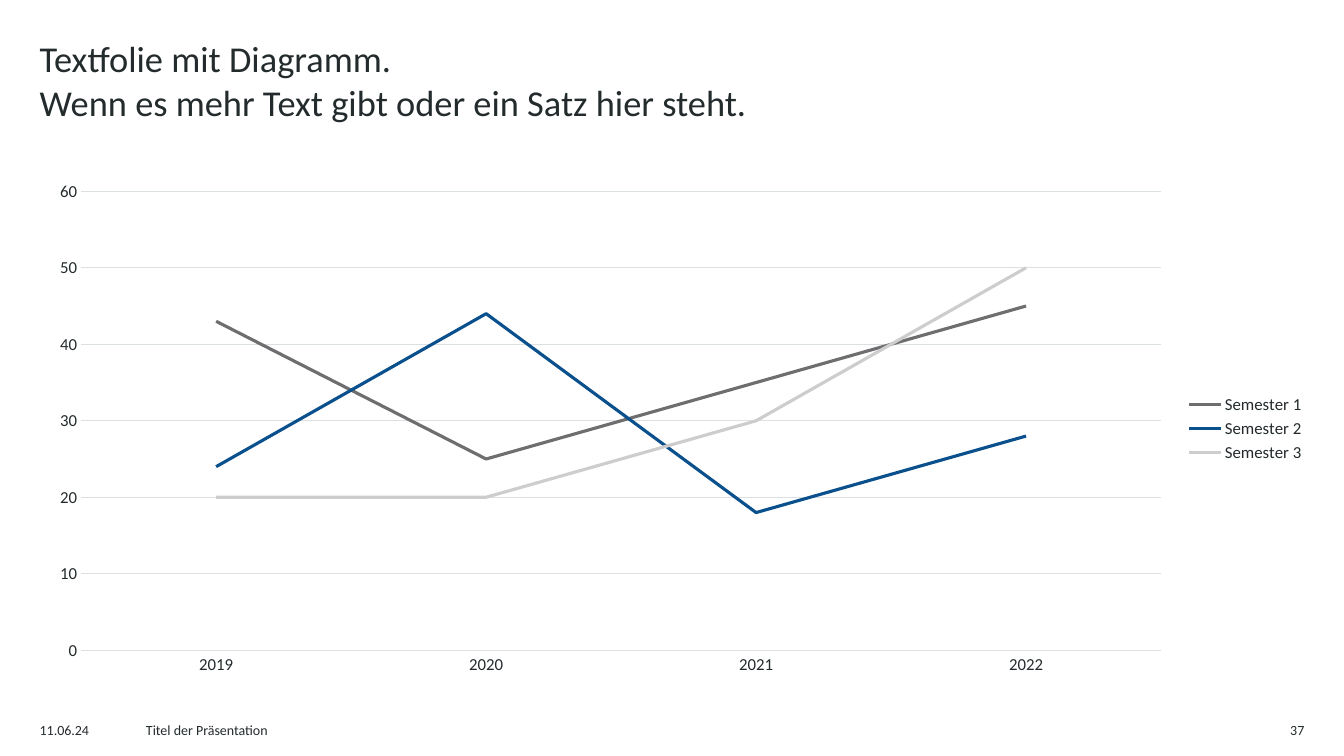
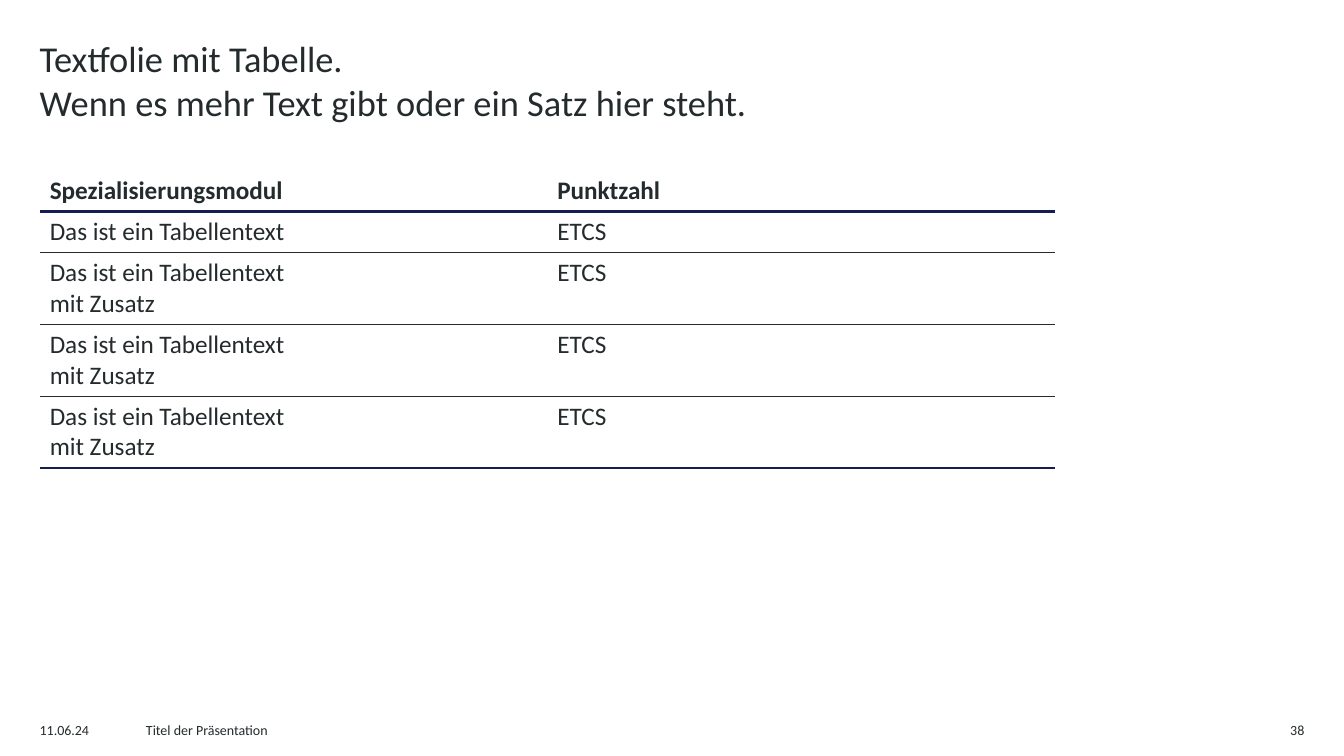
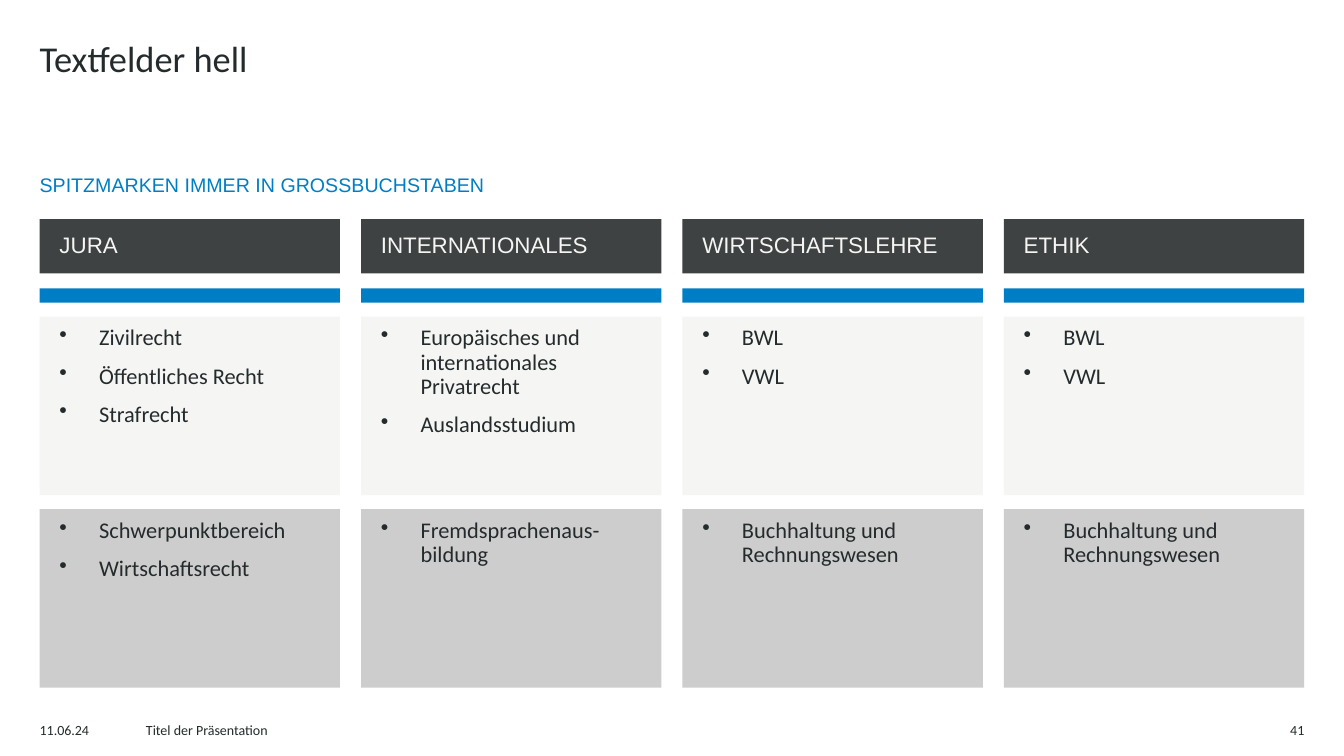
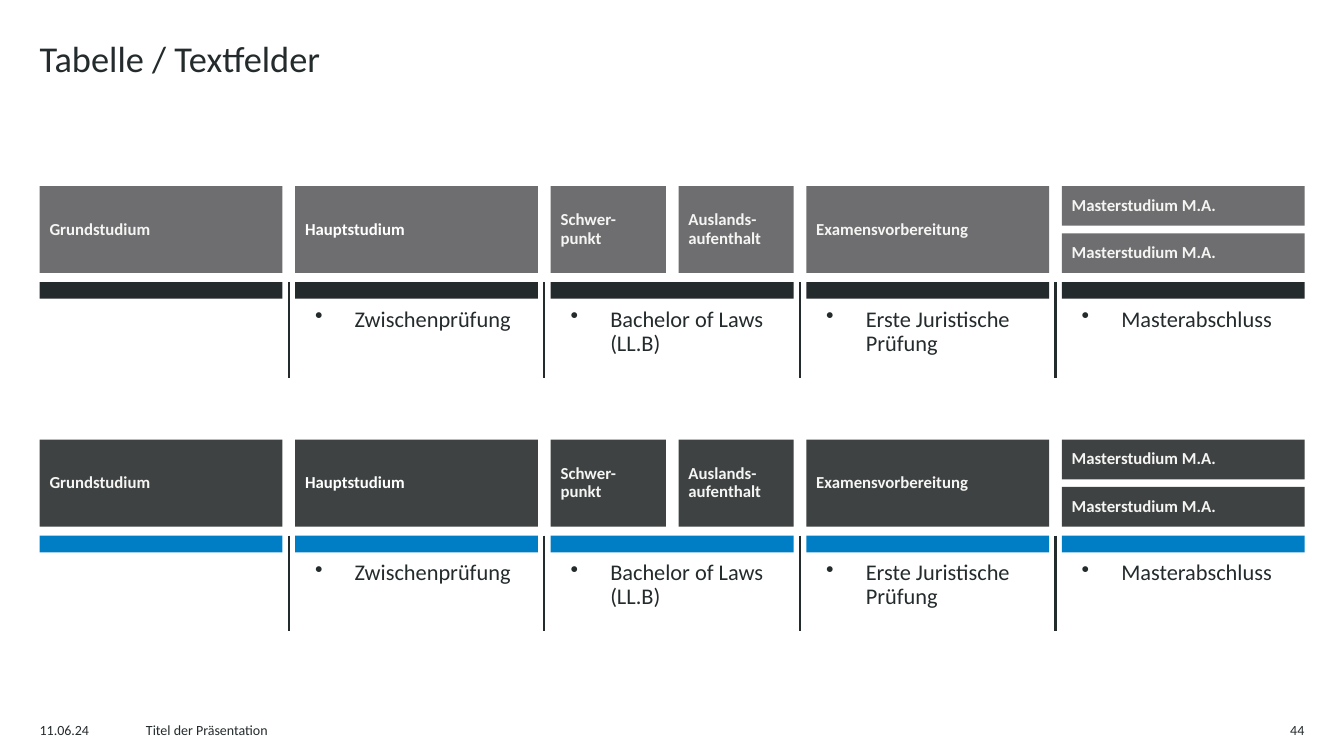
from dataclasses import dataclass, replace
from typing import Any, Sequence

from lxml import etree
from pptx import Presentation
from pptx import util as u
from pptx.chart import data as chart_data
from pptx.dml.color import RGBColor
from pptx.enum import chart as chart_enum
from pptx.enum import shapes, text
from pptx.oxml import parse_xml
from pptx.oxml.ns import nsdecls, qn

INK = RGBColor(0x24, 0x2B, 0x2D)
CHARCOAL = RGBColor(0x3E, 0x42, 0x42)
GREY = RGBColor(0x6E, 0x6E, 0x70)
SILVER = RGBColor(0xCE, 0xCD, 0xCD)
GRID = RGBColor(0xDB, 0xE1, 0xE2)
PALE = RGBColor(0xF5, 0xF5, 0xF3)
WHITE = RGBColor(0xFF, 0xFF, 0xFF)
BLUE = RGBColor(0x00, 0x7E, 0xC5)
DEEP_BLUE = RGBColor(0x0A, 0x50, 0x8C)
NAVY = RGBColor(0x15, 0x1E, 0x53)

MARGIN = 1.0
CONTENT_WIDTH = 31.87
TOP = text.MSO_ANCHOR.TOP
MIDDLE = text.MSO_ANCHOR.MIDDLE


@dataclass(frozen=True)
class Box:
    left: float
    top: float
    width: float
    height: float

    def lengths(self) -> tuple[u.Length, ...]:
        return tuple(u.Cm(value) for value in (self.left, self.top, self.width, self.height))


@dataclass(frozen=True)
class TextStyle:
    size: float
    colour: RGBColor = INK
    font: str = "Calibri"
    bold: bool = False
    align: text.PP_ALIGN = text.PP_ALIGN.LEFT
    spaced: bool = False
    bullet: bool = False


@dataclass(frozen=True)
class Frame:
    side: float = 0.25
    edge: float = 0.13
    left: float = 0.25
    anchor: text.MSO_ANCHOR = TOP


@dataclass(frozen=True)
class Subject:
    name: str
    basics: tuple[str, ...]
    advanced: tuple[str, ...]


@dataclass(frozen=True)
class Module:
    name: str
    column: int
    shift: float = 0
    drop: float = 0
    width: float = 6.12
    height: float = 2.19
    colour: RGBColor = PALE


@dataclass(frozen=True)
class Timeline:
    top: float
    fill: RGBColor
    stripe: RGBColor


TITLE = TextStyle(26)
FOOTER = TextStyle(10)
CELL = TextStyle(18)
BULLETS = TextStyle(16, spaced=True, bullet=True)
KICKER = TextStyle(14, BLUE, "Arial", spaced=True)
SUBJECT = TextStyle(16, PALE, "Arial", spaced=True)
MODULE = TextStyle(12, PALE, bold=True, spaced=True)

PLAIN = Frame()
TITLE_FRAME = Frame(edge=0.15)
BULLET_FRAME = Frame(edge=0.25, left=0.5)
SUBJECT_FRAME = replace(BULLET_FRAME, anchor=MIDDLE)
MODULE_FRAME = Frame(edge=0.25, anchor=MIDDLE)


def write(text_frame: Any, lines: Sequence[str], style: TextStyle) -> None:
    for index, line in enumerate(lines):
        paragraph = text_frame.add_paragraph() if index else text_frame.paragraphs[0]
        paragraph.text = line
        paragraph.alignment = style.align
        paragraph.font.size = u.Pt(style.size)
        paragraph.font.name = style.font
        paragraph.font.bold = style.bold
        paragraph.font.color.rgb = style.colour
        if style.spaced:
            paragraph.line_spacing = 0.9
            paragraph.space_before = u.Pt(10)
        if style.bullet:
            properties = paragraph._p.get_or_add_pPr()
            properties.set("marL", str(u.Cm(1)))
            properties.set("indent", str(u.Cm(-1)))
            bullet = parse_xml(f'<a:buChar {nsdecls("a")} char="•"/>')
            properties.find(qn("a:spcBef")).addnext(bullet)


def fill_frame(shape: Any, lines: Sequence[str], style: TextStyle, frame: Frame) -> None:
    text_frame = shape.text_frame
    text_frame.word_wrap = True
    text_frame.vertical_anchor = frame.anchor
    text_frame.margin_left = u.Cm(frame.left)
    text_frame.margin_right = u.Cm(frame.side)
    text_frame.margin_top = text_frame.margin_bottom = u.Cm(frame.edge)
    write(text_frame, lines, style)


def add_text(slide: Any, box: Box, lines: Sequence[str], style: TextStyle, frame: Frame = PLAIN) -> None:
    fill_frame(slide.shapes.add_textbox(*box.lengths()), lines, style, frame)


def add_block(slide: Any, box: Box, fill: RGBColor) -> Any:
    shape = slide.shapes.add_shape(shapes.MSO_SHAPE.RECTANGLE, *box.lengths())
    shape.shadow.inherit = False
    shape.fill.solid()
    shape.fill.fore_color.rgb = fill
    shape.line.fill.background()
    return shape


def add_slide(presentation: Any, title: str, number: int) -> Any:
    slide = presentation.slides.add_slide(presentation.slide_layouts[6])
    add_text(slide, Box(0.75, 0.76, 31, 2.8), [title], TITLE, TITLE_FRAME)
    add_text(slide, Box(0.75, 18.06, 2.5, 0.8), ["11.06.24"], FOOTER)
    add_text(slide, Box(3.43, 18.06, 27, 0.8), ["Titel der Präsentation"], FOOTER)
    add_text(slide, Box(31.12, 18.06, 2, 0.8), [str(number)], replace(FOOTER, align=text.PP_ALIGN.RIGHT))
    return slide


def place_plot(chart: Any, **fractions: float) -> None:
    plot_area = chart._chartSpace.find(".//" + qn("c:plotArea"))
    for layout in plot_area.findall(qn("c:layout")):
        plot_area.remove(layout)
    layout = parse_xml(f'<c:layout {nsdecls("c")}><c:manualLayout/></c:layout>')
    settings = {"layoutTarget": "inner", "xMode": "edge", "yMode": "edge", **fractions}
    for name, value in settings.items():
        etree.SubElement(layout[0], qn(f"c:{name}")).set("val", str(value))
    plot_area.insert(0, layout)


def build_chart_slide(presentation: Any) -> None:
    slide = add_slide(presentation, "Textfolie mit Diagramm.\nWenn es mehr Text gibt oder ein Satz hier steht.", 37)
    semesters = (
        ("Semester 1", (43, 25, 35, 45), GREY),
        ("Semester 2", (24, 44, 18, 28), DEEP_BLUE),
        ("Semester 3", (20, 20, 30, 50), SILVER),
    )
    data = chart_data.CategoryChartData()
    data.categories = ["2019", "2020", "2021", "2022"]
    for name, values, _ in semesters:
        data.add_series(name, values)
    box = Box(0.75, 4.3, 32.4, 13)
    chart = slide.shapes.add_chart(chart_enum.XL_CHART_TYPE.LINE, *box.lengths(), data).chart
    chart.has_title = False
    chart.font.name = "Calibri"
    chart.font.size = u.Pt(12)
    chart.font.color.rgb = INK
    chart.has_legend = True
    chart.legend.position = chart_enum.XL_LEGEND_POSITION.RIGHT
    chart.legend.include_in_layout = False
    plot = chart.plots[0]
    plot.vary_by_categories = False
    for series, (_, _, colour) in zip(plot.series, semesters):
        series.smooth = False
        series.marker.style = chart_enum.XL_MARKER_STYLE.NONE
        series.format.line.color.rgb = colour
        series.format.line.width = u.Pt(2.25)
    for axis in (chart.category_axis, chart.value_axis):
        axis.major_tick_mark = axis.minor_tick_mark = chart_enum.XL_TICK_MARK.NONE
    value_axis = chart.value_axis
    value_axis.minimum_scale, value_axis.maximum_scale, value_axis.major_unit = 0, 60, 10
    value_axis.format.line.fill.background()
    for line in (chart.category_axis.format.line, value_axis.major_gridlines.format.line):
        line.color.rgb = GRID
        line.width = u.Pt(0.75)
    place_plot(chart, x=0.04, y=0.04, w=0.84, h=0.89)


def set_border(cell: Any, side: str, colour: RGBColor | None = None, width: float = 0) -> None:
    paint = f'<a:solidFill><a:srgbClr val="{colour}"/></a:solidFill>' if colour else "<a:noFill/>"
    border = parse_xml(f'<a:ln{side} {nsdecls("a")} w="{u.Pt(width)}">{paint}</a:ln{side}>')
    cell._tc.get_or_add_tcPr().append(border)


def build_table_slide(presentation: Any) -> None:
    slide = add_slide(presentation, "Textfolie mit Tabelle.\nWenn es mehr Text gibt oder ein Satz hier steht.", 38)
    extended = (("Das ist ein Tabellentext", "mit Zusatz"), ("ETCS",))
    rows = (
        (("Spezialisierungsmodul",), ("Punktzahl",)),
        (("Das ist ein Tabellentext",), ("ETCS",)),
        *[extended] * 3,
    )
    heavy, thin = (NAVY, 2.25), (INK, 0.5)
    borders = ((), heavy, thin, thin, thin, heavy)
    box = Box(MARGIN, 4.3, 25.58, 7.4)
    table = slide.shapes.add_table(len(rows), 2, *box.lengths()).table
    table.first_row = table.horz_banding = False
    for column in table.columns:
        column.width = u.Cm(box.width / 2)
    for index, row in enumerate(rows):
        table.rows[index].height = u.Cm(1.81 if len(row[0]) > 1 else 1.03)
        for cell, lines in zip(table.rows[index].cells, row):
            set_border(cell, "L")
            set_border(cell, "R")
            set_border(cell, "T", *borders[index])
            set_border(cell, "B", *borders[index + 1])
            cell.fill.background()
            write(cell.text_frame, lines, replace(CELL, bold=index == 0))


def build_subject_slide(presentation: Any) -> None:
    slide = add_slide(presentation, "Textfelder hell", 41)
    add_text(slide, Box(0.75, 4.3, 32.37, 1.1), ["SPITZMARKEN IMMER IN GROSSBUCHSTABEN"], KICKER)
    economics = (("BWL", "VWL"), ("Buchhaltung und Rechnungswesen",))
    subjects = (
        Subject("JURA", ("Zivilrecht", "Öffentliches Recht", "Strafrecht"), ("Schwerpunktbereich", "Wirtschaftsrecht")),
        Subject(
            "INTERNATIONALES",
            ("Europäisches und internationales Privatrecht", "Auslandsstudium"),
            ("Fremdsprachenaus-bildung",),
        ),
        Subject("WIRTSCHAFTSLEHRE", *economics),
        Subject("ETHIK", *economics),
    )
    gap = 0.53
    width = (CONTENT_WIDTH - gap * (len(subjects) - 1)) / len(subjects)
    for index, subject in enumerate(subjects):
        left = MARGIN + index * (width + gap)
        header = add_block(slide, Box(left, 5.52, width, 1.37), CHARCOAL)
        fill_frame(header, [subject.name], SUBJECT, SUBJECT_FRAME)
        add_block(slide, Box(left, 7.27, width, 0.36), BLUE)
        for top, fill, lines in ((7.98, PALE, subject.basics), (12.83, SILVER, subject.advanced)):
            panel = add_block(slide, Box(left, top, width, 4.5), fill)
            fill_frame(panel, lines, BULLETS, BULLET_FRAME)


def add_separator(group: Any, x: float, top: float, bottom: float) -> None:
    ends = (u.Cm(value) for value in (x, top, x, bottom))
    line = group.shapes.add_connector(shapes.MSO_CONNECTOR.STRAIGHT, *ends)
    line.line.color.rgb = INK
    line.line.width = u.Pt(1.5)
    etree.SubElement(line._element.spPr, qn("a:effectLst"))


def add_timeline(slide: Any, timeline: Timeline) -> None:
    width, gap, half = 6.12, 0.32, 2.9
    modules = (
        Module("Grundstudium", 0),
        Module("Hauptstudium", 1, colour=WHITE),
        Module("Schwer-punkt", 2, width=half),
        Module("Auslands-aufenthalt", 2, shift=half + gap, width=half),
        Module("Examensvorbereitung", 3),
        Module("Masterstudium M.A.", 4, height=1),
        Module("Masterstudium M.A.", 4, drop=1.19, height=1),
    )
    degrees = ("", "Zwischenprüfung", "Bachelor of Laws (LL.B)", "Erste Juristische Prüfung", "Masterabschluss")
    lefts = [MARGIN + index * (width + gap) for index in range(len(degrees))]
    for module in modules:
        box = Box(lefts[module.column] + module.shift, timeline.top + module.drop, module.width, module.height)
        block = add_block(slide, box, timeline.fill)
        fill_frame(block, [module.name], replace(MODULE, colour=module.colour), MODULE_FRAME)
    stripe_top = timeline.top + 2.42
    for left, degree in zip(lefts, degrees):
        add_block(slide, Box(left, stripe_top, width, 0.42), timeline.stripe)
        if degree:
            add_text(slide, Box(left, stripe_top + 0.4, width, 2), [degree], BULLETS, BULLET_FRAME)
    separators = slide.shapes.add_group_shape()
    for left in lefts[1:]:
        add_separator(separators, left - gap / 2, stripe_top, stripe_top + 2.41)


def build_timeline_slide(presentation: Any) -> None:
    slide = add_slide(presentation, "Tabelle / Textfelder", 44)
    for timeline in (Timeline(4.69, GREY, INK), Timeline(11.08, CHARCOAL, BLUE)):
        add_timeline(slide, timeline)


def main() -> None:
    presentation = Presentation()
    presentation.slide_width = u.Cm(33.87)
    presentation.slide_height = u.Cm(19.05)
    build_chart_slide(presentation)
    build_table_slide(presentation)
    build_subject_slide(presentation)
    build_timeline_slide(presentation)
    presentation.save("out.pptx")


if __name__ == "__main__":
    main()
